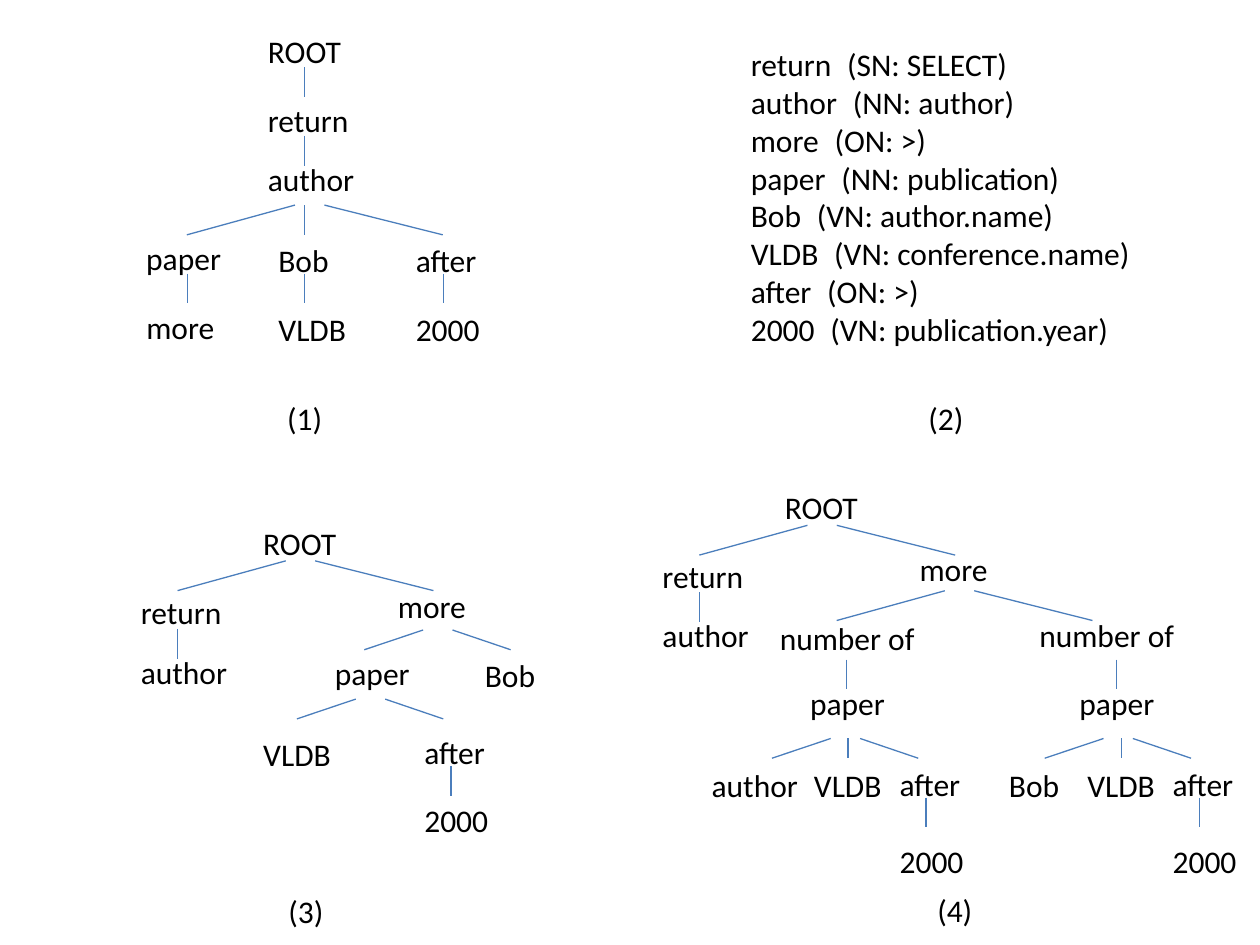
from dataclasses import dataclass

from lxml.etree import SubElement
from pptx import Presentation
from pptx.dml.color import RGBColor
from pptx.enum.text import MSO_AUTO_SIZE
from pptx.oxml.ns import qn
from pptx.util import Pt

BLACK = RGBColor(0x00, 0x00, 0x00)
EDGE_BLUE = RGBColor(0x4B, 0x7E, 0xBC)
FONT_NAME = "Calibri"
FONT_SIZE = 18
LABEL_HEIGHT = 29
LABEL_WIDTHS = {
    "ROOT": 57, "return": 61, "author": 64, "paper": 58, "more": 54, "Bob": 44,
    "VLDB": 54, "after": 50, "2000": 51, "number of": 93,
}
CAPTION_WIDTH = 34.5
EN_SPACE = "\u2002"


@dataclass(frozen=True)
class Label:
    """A word of a tree, placed by its top left corner."""
    text: str
    left: float
    top: float


@dataclass(frozen=True)
class Stub:
    """A vertical edge going down from its top end."""
    x: float
    top: float
    length: float = 17


@dataclass(frozen=True)
class Fan:
    """A pair of edges spreading down from a parent's centre."""
    center: float
    top: float
    left_reach: float = 70.2
    right_reach: float = 76
    drop: float = 17


@dataclass(frozen=True)
class Tree:
    """A parse tree with its caption."""
    caption: Label
    labels: list[Label]
    stubs: list[Stub]
    fans: list[Fan]


def narrow_fan(center: float, top: float) -> Fan:
    """Return a fan for closely set children."""
    return Fan(center, top, left_reach=42, right_reach=41.6, drop=11.3)


FAN_GAP = 8.4

TREES = [
    Tree(
        Label("(1)", 157, 224.6),
        [
            Label("ROOT", 146, 15), Label("return", 146, 54), Label("author", 146, 88),
            Label("paper", 76.5, 133), Label("more", 76.5, 172.6),
            Label("Bob", 152, 134), Label("VLDB", 152, 173.5),
            Label("after", 230.5, 134), Label("2000", 230.5, 173.5),
        ],
        [Stub(174.2, 38.4), Stub(174.2, 77.6), Stub(174.2, 117.2)]
        + [Stub(x, 156.4) for x in (107, 174.2, 253.4)],
        [Fan(177, 117.2)],
    ),
    Tree(
        Label("(3)", 157.7, 506.2),
        [
            Label("ROOT", 143.3, 296), Label("return", 73.4, 335.5),
            Label("author", 73.4, 369.4), Label("more", 220.3, 332),
            Label("paper", 184.3, 370), Label("Bob", 270, 371.5),
            Label("VLDB", 143.3, 416.2), Label("after", 235.4, 415.4),
            Label("2000", 235.4, 454.3),
        ],
        [Stub(101.5, 359.3), Stub(257.8, 437.8)],
        [Fan(171.7, 320.5), narrow_fan(250.2, 360), narrow_fan(211.7, 399.5)],
    ),
    Tree(
        Label("(4)", 528.5, 505.4),
        [
            Label("ROOT", 441.4, 275.5), Label("return", 371.5, 314.8),
            Label("author", 371.5, 348.5), Label("more", 518.4, 311),
            Label("number of", 438.5, 350), Label("number of", 586.8, 348.5),
            Label("paper", 455.8, 387.4), Label("paper", 609.8, 387.4),
            Label("author", 399.6, 434), Label("VLDB", 458, 434),
            Label("after", 507, 433.4), Label("2000", 507, 477.4),
            Label("Bob", 569.5, 434), Label("VLDB", 614.2, 434),
            Label("after", 663, 433.4), Label("2000", 663, 477.4),
        ],
        [
            Stub(399.6, 338.4), Stub(483.8, 377), Stub(638, 377),
            Stub(484.6, 422, 11.3), Stub(640.8, 422, 11.3),
            Stub(529.2, 455.8), Stub(685.4, 455.8),
        ],
        [
            Fan(469.8, 300.2), Fan(548.3, 337.6),
            narrow_fan(483.1, 422), narrow_fan(639, 422),
        ],
    ),
]

MAPPING_CAPTION = Label("(2)", 523.4, 224.6)
MAPPINGS = [
    ("return", "SN: SELECT"), ("author", "NN: author"), ("more", "ON: >"),
    ("paper", "NN: publication"), ("Bob", "VN: author.name"),
    ("VLDB", "VN: conference.name"), ("after", "ON: >"),
    ("2000", "VN: publication.year"),
]


def add_text(page, lines: list[str], left: float, top: float,
             width: float, height: float) -> None:
    """Add an unwrapped text box with one paragraph per line."""
    box = page.shapes.add_textbox(Pt(left), Pt(top), Pt(width), Pt(height))
    frame = box.text_frame
    frame.word_wrap = False
    frame.auto_size = MSO_AUTO_SIZE.SHAPE_TO_FIT_TEXT
    frame.text = "\n".join(lines)
    for para in frame.paragraphs:
        para.font.name = FONT_NAME
        para.font.size = Pt(FONT_SIZE)
        para.font.color.rgb = BLACK


def add_label(page, label: Label) -> None:
    """Add one tree word or caption."""
    width = LABEL_WIDTHS.get(label.text, CAPTION_WIDTH)
    add_text(page, [label.text], label.left, label.top, width, LABEL_HEIGHT)


def add_edge(page, x1: float, y1: float, x2: float, y2: float) -> None:
    """Add a thin straight edge without a shadow."""
    edge = page.shapes.add_connector(1, Pt(x1), Pt(y1), Pt(x2), Pt(y2))
    edge.line.color.rgb = EDGE_BLUE
    edge.line.width = Pt(0.75)
    SubElement(edge._element.spPr, qn("a:effectLst"))


def add_fan(page, fan: Fan) -> None:
    """Add the left and right edges of a fan."""
    for side, reach in ((-1, fan.left_reach), (1, fan.right_reach)):
        add_edge(page, fan.center + side * FAN_GAP, fan.top,
                 fan.center + side * reach, fan.top + fan.drop)


def add_tree(page, tree: Tree) -> None:
    """Add a tree's words, edges and caption."""
    for label in [*tree.labels, tree.caption]:
        add_label(page, label)
    for stub in tree.stubs:
        add_edge(page, stub.x, stub.top, stub.x, stub.top + stub.length)
    for fan in tree.fans:
        add_fan(page, fan)


deck = Presentation()
deck.slide_width, deck.slide_height = Pt(720), Pt(540)
page = deck.slides.add_slide(deck.slide_layouts[6])
for tree in TREES:
    add_tree(page, tree)
add_text(page, [f"{word}{EN_SPACE}({role})" for word, role in MAPPINGS],
         422, 22.3, 233, 204)
add_label(page, MAPPING_CAPTION)
deck.save("out.pptx")
